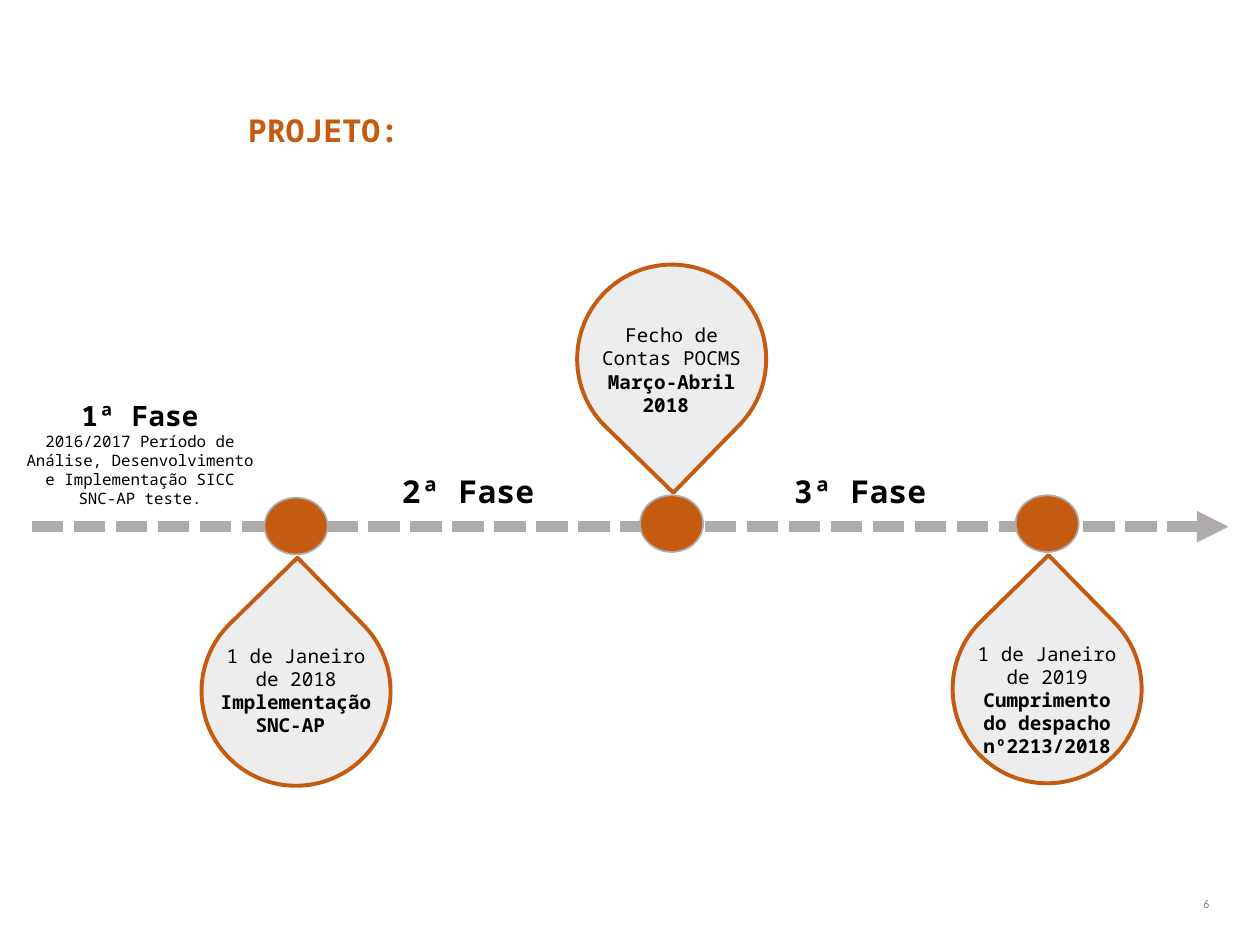
from lxml.etree import SubElement
from pptx import Presentation
from pptx.dml.color import RGBColor
from pptx.enum.dml import MSO_LINE
from pptx.enum.shapes import MSO_CONNECTOR, MSO_SHAPE
from pptx.enum.text import MSO_ANCHOR, MSO_AUTO_SIZE, PP_ALIGN
from pptx.oxml.ns import qn
from pptx.util import Pt

ORANGE, GREY, PALE, BLACK = "C55A11", "AFABAB", "EDEDED", "000000"
MONO = "Noto Sans Mono"


def rgb(value):
    """Return the colour for a hex string."""
    return RGBColor.from_string(value)


def add_text(s, box, paragraphs, color=BLACK, align=PP_ALIGN.CENTER, font=MONO):
    """Add a text box whose paragraphs are lists of (text, size, bold) runs."""
    tb = s.shapes.add_textbox(*map(Pt, box))
    tf = tb.text_frame
    tf.word_wrap = True
    tf.auto_size = MSO_AUTO_SIZE.SHAPE_TO_FIT_TEXT
    for i, runs in enumerate(paragraphs):
        p = tf.add_paragraph() if i else tf.paragraphs[0]
        p.alignment = align
        for text, size, bold in runs:
            r = p.add_run()
            r.text = text
            r.font.name, r.font.size, r.font.bold = font, Pt(size), bold
            r.font.color.rgb = rgb(color)
    return tf


def add_outlined(s, kind, box, fill, line, width):
    """Add a filled preset shape with an outline."""
    sp = s.shapes.add_shape(kind, *map(Pt, box))
    sp.shadow.inherit = False
    sp.fill.solid()
    sp.fill.fore_color.rgb = rgb(fill)
    sp.line.color.rgb = rgb(line)
    sp.line.width = Pt(width)
    return sp


def add_axis(s, x, y, w):
    """Add the dashed timeline arrow."""
    cx = s.shapes.add_connector(MSO_CONNECTOR.STRAIGHT, Pt(x), Pt(y), Pt(x + w), Pt(y))
    cx.line.color.rgb = rgb(GREY)
    cx.line.width = Pt(6)
    cx.line.dash_style = MSO_LINE.SQUARE_DOT
    SubElement(cx.line._get_or_add_ln(), qn("a:tailEnd"), type="triangle")
    SubElement(cx._element.spPr, qn("a:effectLst"))


def add_milestone(s, x, y, above, text_dy, paragraphs):
    """Add a marker with its teardrop callout above or below."""
    add_outlined(s, MSO_SHAPE.OVAL, (x, y, 36, 32.4), ORANGE, GREY, 1)
    left, top = x - 36, y + (-131.8 if above else 56.6)
    drop = add_outlined(s, MSO_SHAPE.TEAR, (left, top, 108, 108), PALE, ORANGE, 2.25)
    drop.rotation = 134.3 if above else 315.6
    add_text(s, (left + 2.9, top + text_dy, 102.2, 60), paragraphs)


def add_timeline(s, x, y, w):
    """Add the axis, its phases and its milestones."""
    add_axis(s, x, y, w)
    add_text(s, (x - 10, y - 77, 144, 70.6), [
        [("1ª Fase", 16, True)],
        [("2016/2017 Período de Análise, Desenvolvimento e Implementação SICC SNC-AP teste.", 9, False)],
    ])
    for dx, label in ((162, "2ª Fase"), (386, "3ª Fase")):
        add_text(s, (x + dx, y - 34.6, 175, 29), [[(label, 18, True)]])
    milestones = [
        (-16.6, False, 23.4, [[("1 de Janeiro de 2018 ", 11, False),
                               ("Implementação SNC-AP ", 11, True)]]),
        (-18, True, 30.2, [[("Fecho de Contas POCMS", 11, False)],
                           [("Março-Abril 2018 ", 11, True)]]),
        (-18, False, 23.8, [[("1 de Janeiro de 2019", 11, False)],
                            [("Cumprimento do despacho nº2213/2018", 11, True)]]),
    ]
    for i, (dy, above, text_dy, paragraphs) in enumerate(milestones):
        add_milestone(s, x + 133.2 + i * 214.6, y + dy, above, text_dy, paragraphs)


def add_page_number(s, x, y, size):
    """Add the slide number in a square box."""
    tf = add_text(s, (x, y, size, size), [[("6", 6.8, False)]], "808080", PP_ALIGN.RIGHT, "Calibri")
    tf.auto_size = MSO_AUTO_SIZE.NONE
    tf.vertical_anchor = MSO_ANCHOR.MIDDLE
    tf.margin_left = tf.margin_right = tf.margin_top = tf.margin_bottom = Pt(2.9)


def main():
    """Build and save the slide."""
    prs = Presentation()
    prs.slide_width, prs.slide_height = Pt(720), Pt(540)
    s = prs.slides.add_slide(prs.slide_layouts[6])
    add_text(s, (134.6, 59.8, 126.7, 29), [[("PROJETO:", 18, True)]], ORANGE, PP_ALIGN.LEFT)
    add_timeline(s, 18, 301, 684)
    add_page_number(s, 666, 502.6, 28)
    prs.save("out.pptx")


if __name__ == "__main__":
    main()
